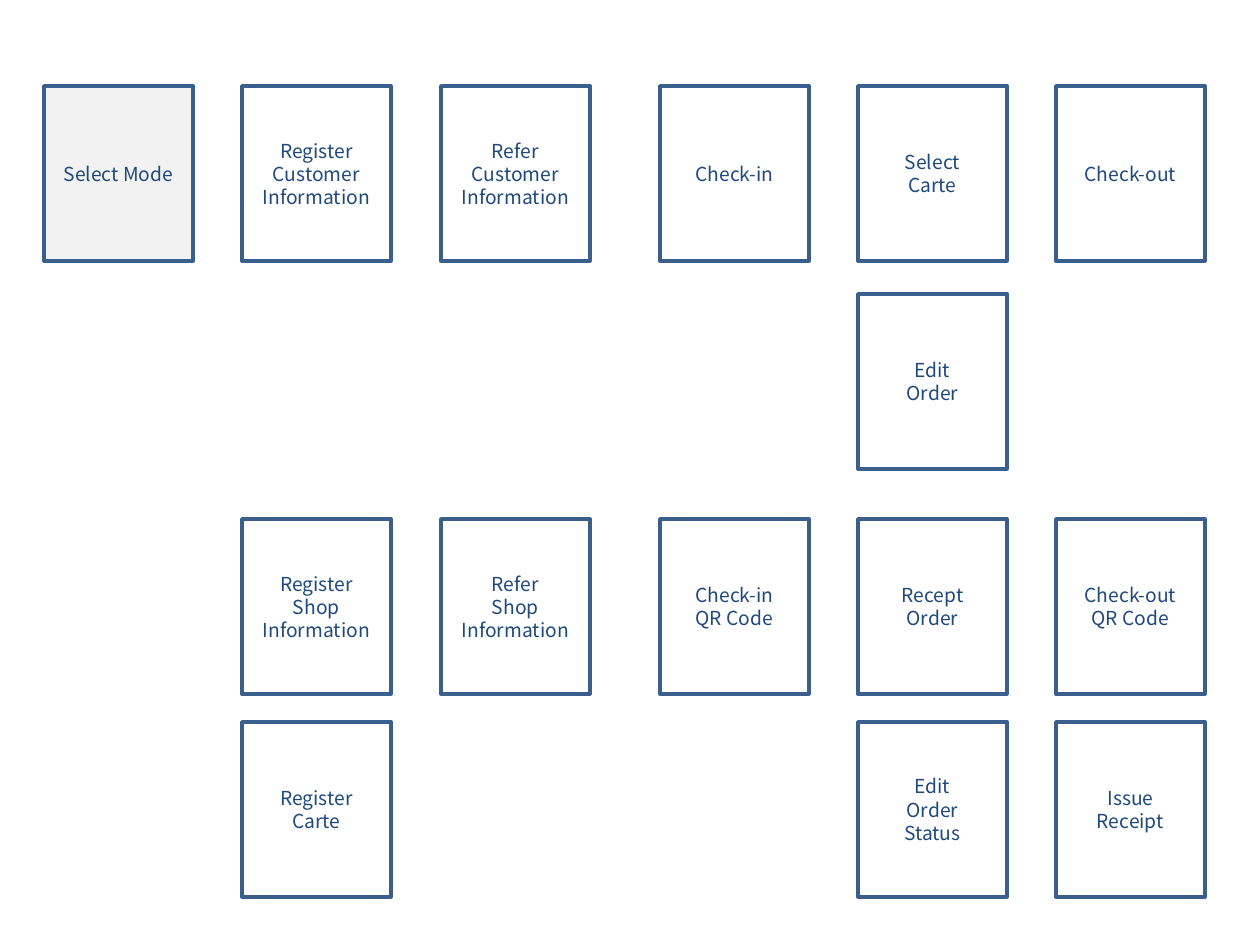
from pptx import Presentation
from pptx.dml.color import RGBColor
from pptx.enum.shapes import MSO_SHAPE
from pptx.enum.text import MSO_ANCHOR, PP_ALIGN
from pptx.util import Emu, Pt

RECT = MSO_SHAPE.RECTANGLE
MIDDLE = MSO_ANCHOR.MIDDLE
CENTER = PP_ALIGN.CENTER

PX = 914400 // 126
WIDE, HIGH = 149, 175
LEFTS = [44, 242, 441, 660, 858, 1056]
TOPS = [86, 294, 519, 722]
FONT = "Noto Sans CJK JP"
INK, EDGE, WHITE, GRAY = "1F497D", "3A5F8C", "FFFFFF", "F2F2F2"

SCREENS = [
    (0, 0, "Select Mode", GRAY),
    (1, 2, "Register\nShop\nInformation", WHITE),
    (1, 0, "Register Customer Information", WHITE),
    (1, 3, "Register\nCarte", WHITE),
    (2, 0, "Refer\nCustomer\nInformation", WHITE),
    (2, 2, "Refer\nShop\nInformation", WHITE),
    (4, 0, "Select\nCarte", WHITE),
    (4, 1, "Edit\nOrder", WHITE),
    (5, 3, "Issue\nReceipt", WHITE),
    (3, 2, "Check-in\nQR Code", WHITE),
    (3, 0, "Check-in", WHITE),
    (5, 2, "Check-out\nQR Code", WHITE),
    (5, 0, "Check-out", WHITE),
    (4, 2, "Recept\nOrder", WHITE),
    (4, 3, "Edit\nOrder\nStatus", WHITE),
]


def px(n):
    return Emu(n * PX)


def color(code):
    return RGBColor.from_string(code)


def add_screen(slide, col, row, text, fill):
    box = slide.shapes.add_shape(
        RECT, px(LEFTS[col]), px(TOPS[row]), px(WIDE), px(HIGH))
    box.shadow.inherit = False
    box.fill.solid()
    box.fill.fore_color.rgb = color(fill)
    box.line.color.rgb = color(EDGE)
    box.line.width = Pt(2)
    frame = box.text_frame
    frame.word_wrap = True
    frame.vertical_anchor = MIDDLE
    frame.text = text
    for para in frame.paragraphs:
        para.alignment = CENTER
        for run in para.runs:
            run.font.name = FONT
            run.font.size = Pt(11)
            run.font.color.rgb = color(INK)


def main():
    deck = Presentation()
    deck.slide_width, deck.slide_height = px(1260), px(945)
    slide = deck.slides.add_slide(deck.slide_layouts[6])
    for screen in SCREENS:
        add_screen(slide, *screen)
    deck.save("out.pptx")


if __name__ == "__main__":
    main()
